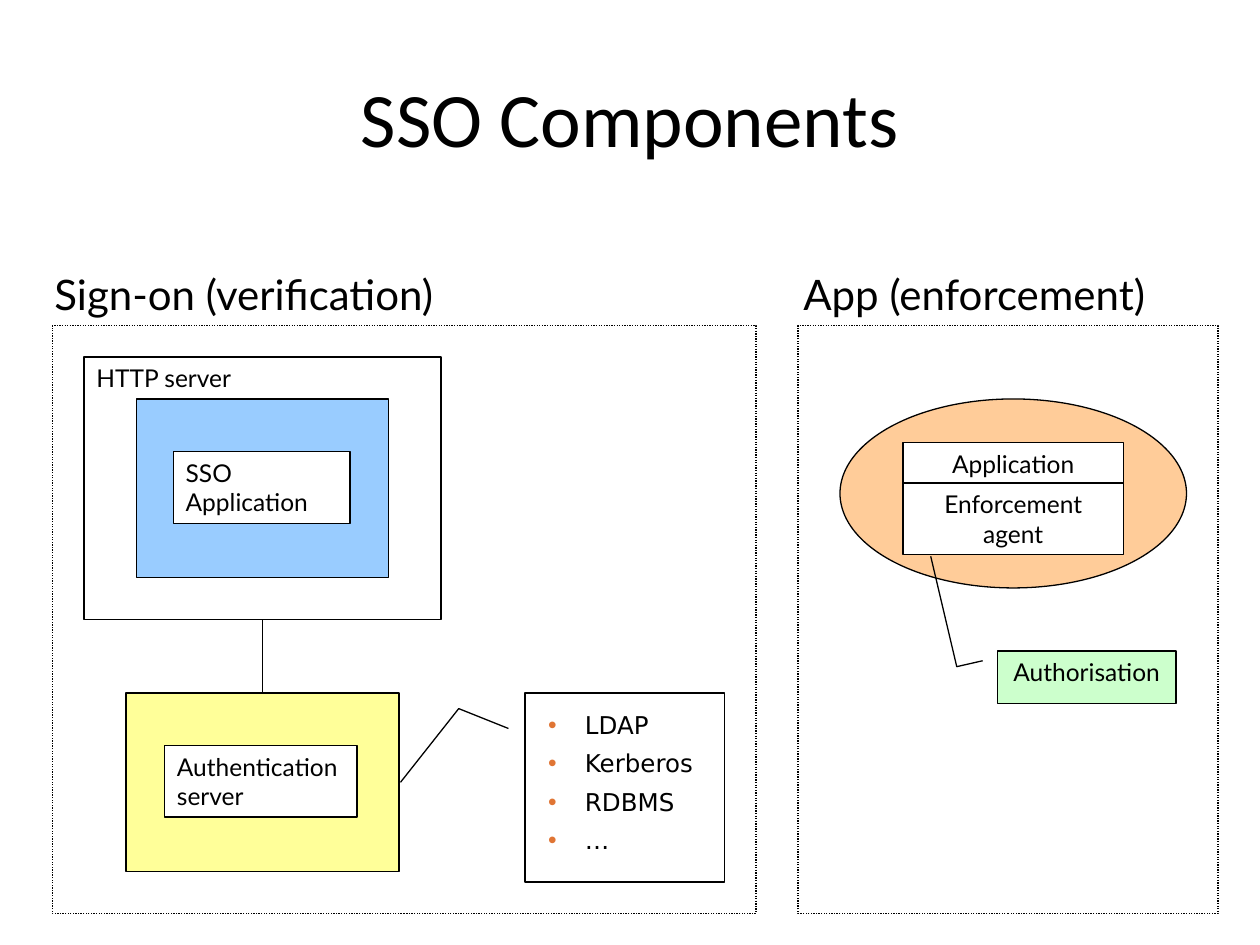
from dataclasses import dataclass

from lxml import etree
from pptx import Presentation
from pptx.dml.color import RGBColor
from pptx.enum.dml import MSO_LINE
from pptx.enum.shapes import MSO_CONNECTOR, MSO_SHAPE
from pptx.enum.text import MSO_ANCHOR, MSO_AUTO_SIZE, PP_ALIGN
from pptx.oxml.ns import qn
from pptx.util import Pt

RECT, OVAL, CALLOUT = MSO_SHAPE.RECTANGLE, MSO_SHAPE.OVAL, MSO_SHAPE.LINE_CALLOUT_2
LEFT, CENTER = PP_ALIGN.LEFT, PP_ALIGN.CENTER
TOP, MIDDLE = MSO_ANCHOR.TOP, MSO_ANCHOR.MIDDLE
NO_AUTOSIZE = MSO_AUTO_SIZE.NONE
DOTTED = MSO_LINE.ROUND_DOT
STRAIGHT = MSO_CONNECTOR.STRAIGHT
SIDE_TOP, SIDE_BOTTOM = 0, 2


@dataclass(frozen=True)
class Theme:
    ink: str = "000000"
    paper: str = "FFFFFF"
    blue: str = "99CCFF"
    yellow: str = "FFFF99"
    orange: str = "FFCC99"
    green: str = "CCFFCC"
    bullet: str = "E07534"
    title_font: str = "Calibri"
    label_font: str = "Lato"
    list_font: str = "DejaVu Sans"
    title_size: int = 44
    heading_size: int = 24
    label_size: int = 14
    line_width: float = 0.75


THEME = Theme()


def rgb(value):
    return RGBColor.from_string(value)


def set_all(target, values):
    for name, value in values.items():
        setattr(target, name, value)


def place(shape, box):
    set_all(shape, dict(zip(("left", "top", "width", "height"), map(Pt, box))))


def style_frame(frame, anchor=TOP, wrap=True):
    set_all(frame, {
        "auto_size": NO_AUTOSIZE, "word_wrap": wrap, "vertical_anchor": anchor,
        "margin_left": Pt(7.2), "margin_right": Pt(7.2),
        "margin_top": Pt(3.6), "margin_bottom": Pt(3.6),
    })


def style_paragraph(paragraph, font, size, align=LEFT):
    paragraph.alignment = align
    set_all(paragraph.font, {"name": font, "size": Pt(size)})
    paragraph.font.color.rgb = rgb(THEME.ink)


def write(frame, text, size=THEME.label_size, align=LEFT, wrap=True):
    style_frame(frame, wrap=wrap)
    frame.text = text
    style_paragraph(frame.paragraphs[0], THEME.label_font, size, align)


def style_line(line):
    line.color.rgb = rgb(THEME.ink)
    line.width = Pt(THEME.line_width)


def add_box(slide, box, fill=None, text=None, align=LEFT, kind=RECT, bends=()):
    shape = slide.shapes.add_shape(kind, *map(Pt, box))
    shape.shadow.inherit = False
    style_line(shape.line)
    if fill:
        shape.fill.solid()
        shape.fill.fore_color.rgb = rgb(fill)
    else:
        shape.fill.background()
    for index, bend in enumerate(bends):
        shape.adjustments[index] = bend
    if text:
        write(shape.text_frame, text, align=align)
    return shape


def add_label(slide, box, text, size=THEME.label_size, wrap=True):
    label = slide.shapes.add_textbox(*map(Pt, box))
    write(label.text_frame, text, size, wrap=wrap)


def add_link(slide, upper, lower):
    link = slide.shapes.add_connector(STRAIGHT, 0, 0, 0, 0)
    link.begin_connect(upper, SIDE_BOTTOM)
    link.end_connect(lower, SIDE_TOP)
    style_line(link.line)
    etree.SubElement(link._element.spPr, qn("a:effectLst"))


def fill_title(slide, text):
    title = slide.shapes.title
    place(title, (36, 21.6, 648, 90))
    style_frame(title.text_frame, MIDDLE)
    title.text_frame.text = text
    style_paragraph(title.text_frame.paragraphs[0], THEME.title_font,
                    THEME.title_size, CENTER)


def add_bullet(paragraph):
    props = paragraph._p.get_or_add_pPr()
    props.set("marL", str(Pt(21)))
    props.set("indent", str(-Pt(21)))
    colour = etree.SubElement(props, qn("a:buClr"))
    etree.SubElement(colour, qn("a:srgbClr"), val=THEME.bullet)
    etree.SubElement(props, qn("a:buChar"), char="•")


def fill_list(slide, box, items):
    body = slide.placeholders[1]
    place(body, box)
    style_frame(body.text_frame)
    body.text_frame.text = "\n".join(items)
    for index, paragraph in enumerate(body.text_frame.paragraphs):
        add_bullet(paragraph)
        paragraph.space_before = Pt(5.2 if index else 0)
        style_paragraph(paragraph, THEME.list_font, THEME.label_size)


def add_section(slide, frame_box, label_box, text):
    frame = add_box(slide, frame_box)
    frame.line.dash_style = DOTTED
    add_label(slide, label_box, text, THEME.heading_size, wrap=False)


def draw_sign_on(slide):
    # Authentication server
    authentication = add_box(slide, (72, 396, 156, 102), THEME.yellow)
    add_box(slide, (94, 426, 110, 41), THEME.paper, "Authentication server")

    # HTTP server around the SSO application
    add_box(slide, (78, 228, 144, 102), THEME.blue)
    add_box(slide, (99, 258, 101, 41), THEME.paper, "SSO Application")
    http_server = add_box(slide, (48, 204, 204, 150))
    add_label(slide, (48, 204, 101, 24), "HTTP server")
    add_link(slide, http_server, authentication)

    # Credential stores
    add_box(slide, (300, 396, 114, 108), kind=CALLOUT,
            bends=(0.188, -0.083, 0.083, -0.332, 0.473, -0.624))
    fill_list(slide, (306, 402, 114, 102), ("LDAP", "Kerberos", "RDBMS", "…"))


def draw_app(slide):
    # Application with its agent
    add_box(slide, (480, 228, 198, 108), THEME.orange, kind=OVAL)
    add_box(slide, (516, 253, 126, 24), THEME.paper, "Application", CENTER)
    add_box(slide, (516, 276, 126, 41), THEME.paper, "Enforcement agent", CENTER)

    # Authorisation
    add_box(slide, (570, 372, 102, 30), THEME.green, "Authorisation", CENTER,
            CALLOUT, (0.188, -0.083, 0.3, -0.228, -1.804, -0.374))


def main():
    deck = Presentation()
    set_all(deck, {"slide_width": Pt(720), "slide_height": Pt(540)})
    slide = deck.slides.add_slide(deck.slide_layouts[1])
    fill_title(slide, "SSO Components")
    draw_sign_on(slide)
    draw_app(slide)
    add_section(slide, (30, 186, 402, 336), (24, 150, 246, 36),
                "Sign-on (verification)")
    add_section(slide, (456, 186, 240, 336), (452, 150, 225, 36),
                "App (enforcement)")
    deck.save("out.pptx")


if __name__ == "__main__":
    main()
